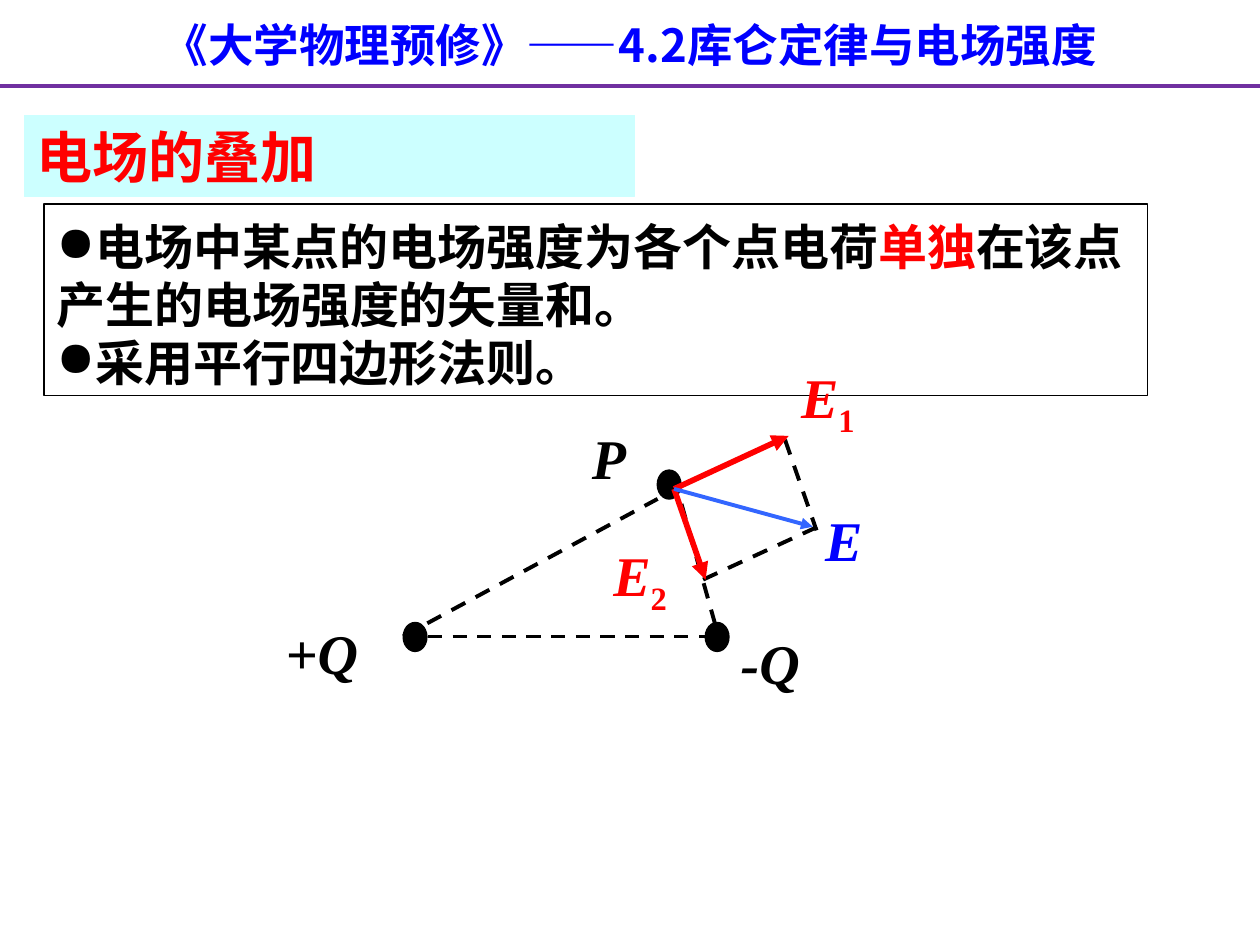
import pptx
import pptx.util
import pptx.dml.color
import pptx.enum.dml
import pptx.enum.shapes
import pptx.enum.text
import pptx.oxml
import pptx.oxml.ns

Pt = pptx.util.Pt
PP_ALIGN = pptx.enum.text.PP_ALIGN
MSO_ANCHOR = pptx.enum.text.MSO_ANCHOR
MSO_SHAPE = pptx.enum.shapes.MSO_SHAPE

COLORS = {
    "black": "000000",
    "red": "FF0000",
    "blue": "0000FF",
    "sky": "3366FF",
    "purple": "7030A0",
    "cyan": "CCFFFF",
}
CJK = "Noto Sans CJK SC"
SERIF = "Times New Roman"


def rgb(name):
    return pptx.dml.color.RGBColor.from_string(COLORS[name])


def set_attrs(obj, values):
    for name, value in values.items():
        setattr(obj, name, value)


def add_child(parent, tag, **attrs):
    child = pptx.oxml.parse_xml(f"<{tag} {pptx.oxml.ns.nsdecls('a')}/>")
    for name, value in attrs.items():
        child.set(name, value)
    parent.append(child)


class SlideBuilder:
    def __init__(self, prs):
        self.s = prs.slides.add_slide(prs.slide_layouts[6])
        self.heading = {"size": Pt(26), "bold": True, "name": CJK}
        self.body = {"size": Pt(28), "bold": True, "name": CJK}
        self.section = {"size": Pt(32), "bold": True, "name": "Calibri"}
        self.symbol = {"size": Pt(32), "bold": True, "italic": True, "name": SERIF}

    def run(self, p, text, font, color):
        r = p.add_run()
        r.text = text
        set_attrs(r.font, font)
        r.font.color.rgb = rgb(color)
        add_child(r._r.get_or_add_rPr(), "a:ea", typeface=CJK)
        return r

    def text(self, box, text, font, color, **frame):
        sp = self.s.shapes.add_textbox(*map(Pt, box))
        tf = sp.text_frame
        set_attrs(tf, frame)
        p = tf.paragraphs[0]
        self.run(p, text, font, color)
        return p

    def symbol_label(self, left, top, width, height, text, color="black", sub=""):
        """Italic symbol with an optional upright subscript."""
        p = self.text((left, top, width, height), text, self.symbol, color,
                      word_wrap=False)
        if sub:
            r = self.run(p, sub, {**self.symbol, "italic": False}, color)
            r._r.get_or_add_rPr().set("baseline", "-25000")

    def shape(self, kind, box, fill=None, line="black"):
        sp = self.s.shapes.add_shape(kind, *map(Pt, box))
        sp.shadow.inherit = False
        if fill:
            sp.fill.solid()
            sp.fill.fore_color.rgb = rgb(fill)
        else:
            sp.fill.background()
        sp.line.color.rgb = rgb(line)
        sp.line.width = Pt(0.75)
        return sp

    def panel(self, box, paragraphs, font, fill=None, line="black", bullet=None,
              spacing=None, **frame):
        """Rectangle with paragraphs, each a list of (text, colour)."""
        tf = self.shape(MSO_SHAPE.RECTANGLE, box, fill, line).text_frame
        set_attrs(tf, {"word_wrap": True, **frame})
        for i, parts in enumerate(paragraphs):
            p = tf.add_paragraph() if i else tf.paragraphs[0]
            set_attrs(p, {"alignment": PP_ALIGN.LEFT, "line_spacing": spacing})
            if bullet:
                add_child(p._p.get_or_add_pPr(), "a:buChar", char=bullet)
            for text, color in parts:
                self.run(p, text, font, color)

    def charge(self, left, top):
        self.shape(MSO_SHAPE.OVAL, (left, top, 13.6, 16.6), fill="black")

    def line(self, start, end, color="black", width=2.25, dash=False, arrow=False):
        c = self.s.shapes.add_connector(
            pptx.enum.shapes.MSO_CONNECTOR.STRAIGHT, *map(Pt, start + end))
        c.line.color.rgb = rgb(color)
        c.line.width = Pt(width)
        if dash:
            c.line.dash_style = pptx.enum.dml.MSO_LINE.DASH
        if arrow:
            add_child(c.line._get_or_add_ln(), "a:tailEnd", type="triangle")
        add_child(c._element.spPr, "a:effectLst")


def main():
    prs = pptx.Presentation()
    set_attrs(prs, {"slide_width": Pt(720), "slide_height": Pt(540)})
    b = SlideBuilder(prs)

    title = b.text((0, 5.8, 720, 38.9), "《大学物理预修》——4.2库仑定律与电场强度",
                   b.heading, "blue", word_wrap=True,
                   vertical_anchor=MSO_ANCHOR.MIDDLE)
    title.alignment = PP_ALIGN.CENTER
    b.line((0, 49), (720, 49), "purple")

    b.panel((25.2, 116.6, 630.7, 109.4),
            [[("电场中某点的电场强度为各个点电荷", "black"), ("单独", "red"),
              ("在该点产生的电场强度的矢量和。", "black")],
             [("采用平行四边形法则。", "black")]],
            b.body, bullet="●", spacing=Pt(33), margin_top=Pt(8),
            vertical_anchor=MSO_ANCHOR.TOP)
    b.panel((14, 66, 348.5, 46.3), [[("电场的叠加", "red")]], b.section,
            fill="cyan", line="cyan", vertical_anchor=MSO_ANCHOR.MIDDLE)

    b.symbol_label(156.2, 349.9, 57.6, 45.4, "+Q")
    b.symbol_label(416.2, 355.7, 48.2, 45.4, "-Q")
    for left, top in ((230.4, 355.7), (403, 355.7), (375.6, 268.6)):
        b.charge(left, top)

    for start, end, width in (
            ((230.4, 363.6), (416.2, 363.6), 2),
            ((230.4, 363.6), (375.8, 285.1), 2.25),
            ((385.2, 272.9), (411.8, 367.9), 2.25),
            ((401.8, 331.2), (467.3, 301), 2.25),
            ((448.6, 251.3), (466.6, 303.1), 2.25)):
        b.line(start, end, width=width, dash=True)
    b.symbol_label(331.2, 238.3, 33.8, 45.4, "P")

    origin = (385.2, 279.4)
    b.line(origin, (450.7, 249.1), "red", 3.25, arrow=True)
    b.symbol_label(450.7, 203.8, 46.1, 51.8, "E", "red", sub="1")
    b.line(origin, (403.2, 331.2), "red", 3.25, arrow=True)
    b.symbol_label(343.4, 305.3, 46.1, 51.8, "E", "red", sub="2")
    b.line(origin, (464.4, 301), "sky", arrow=True)
    b.symbol_label(464.4, 285.1, 36, 45.4, "E", "blue")

    prs.save("out.pptx")


if __name__ == "__main__":
    main()
